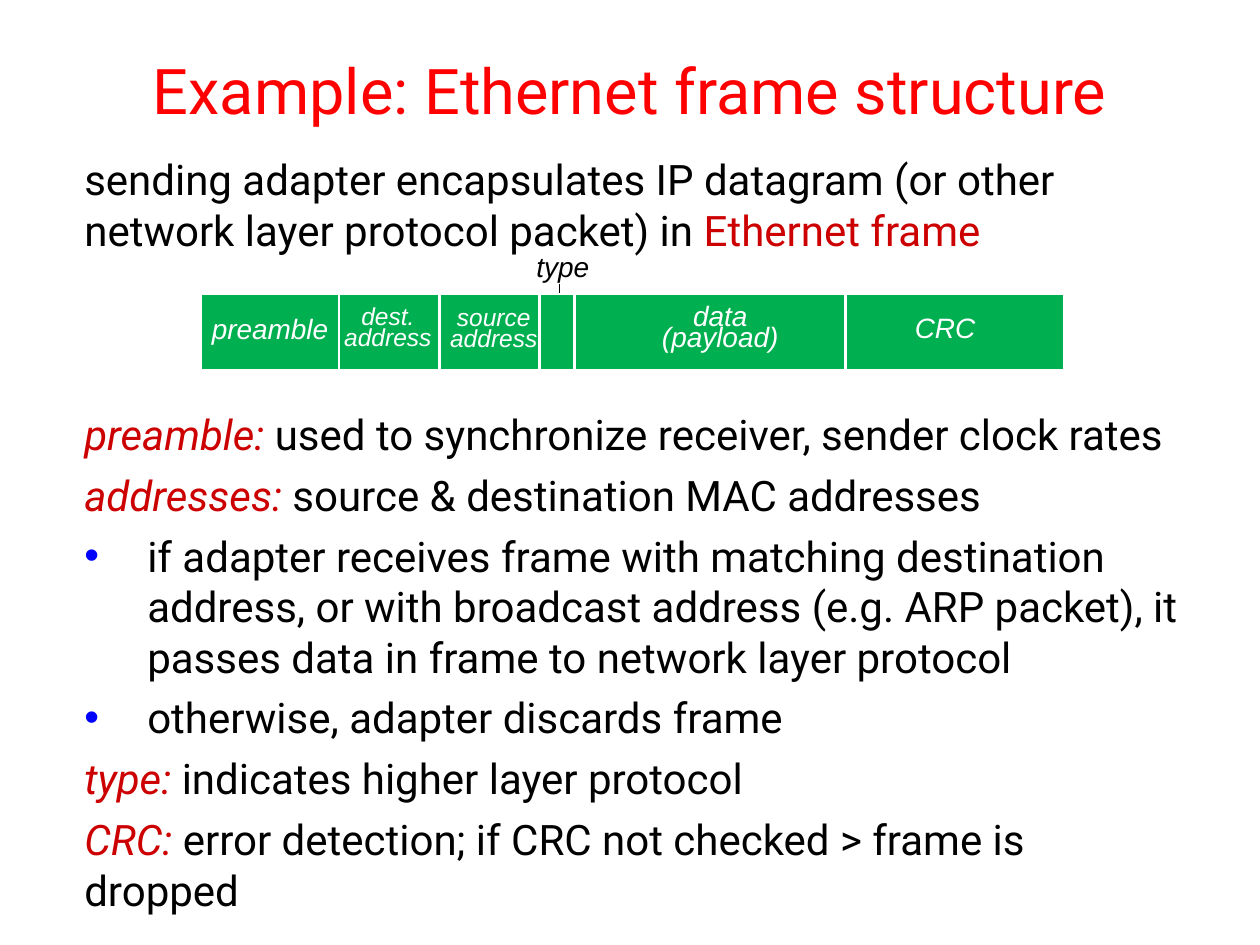
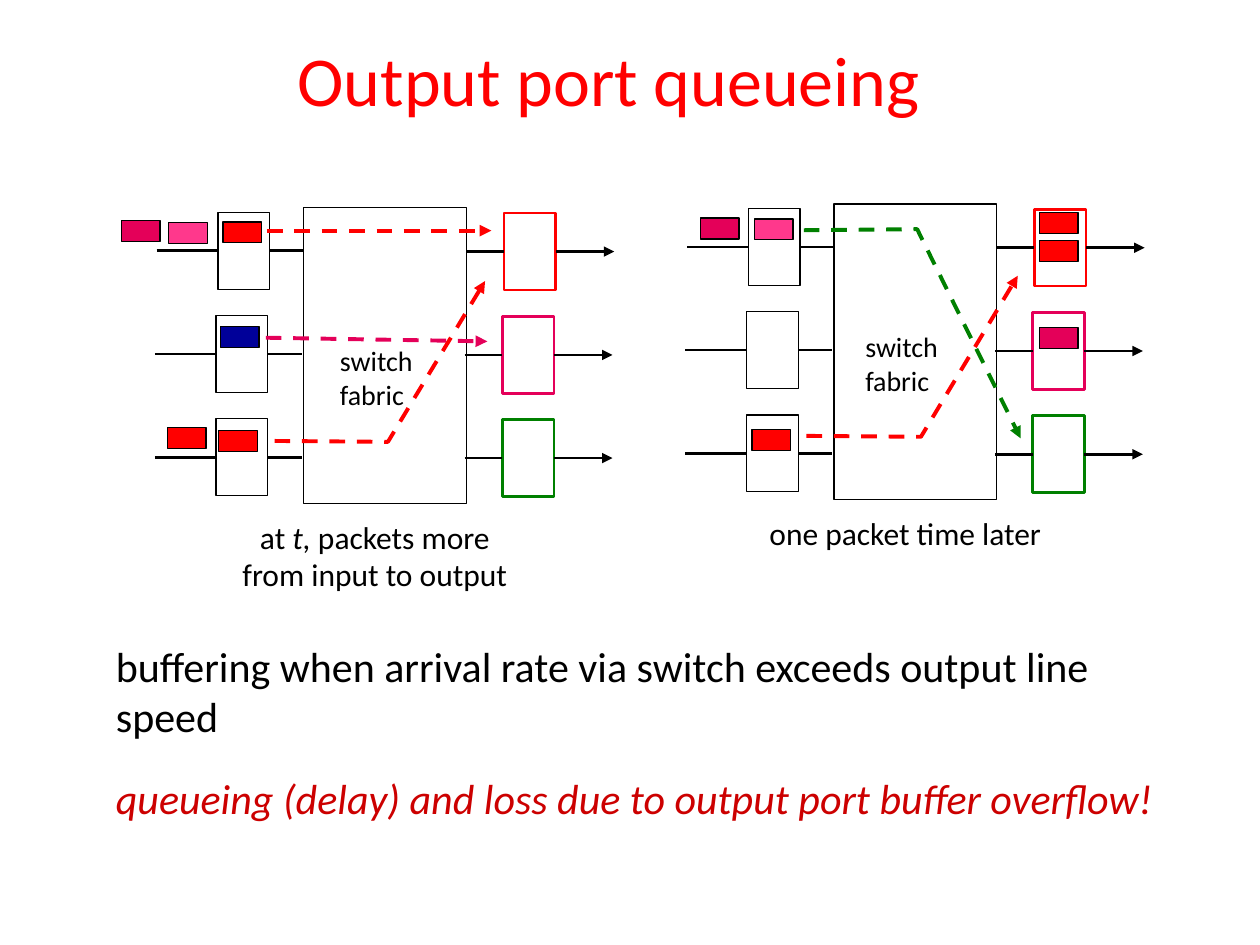
import pptx
import pptx.util
import pptx.dml.color
import pptx.enum.dml
import pptx.enum.shapes
import pptx.enum.text
import pptx.oxml
import pptx.oxml.ns

Pt = pptx.util.Pt
ALIGN = pptx.enum.text.PP_ALIGN
ANCHOR = pptx.enum.text.MSO_ANCHOR
FIT = pptx.enum.text.MSO_AUTO_SIZE
KIND = pptx.enum.shapes.MSO_SHAPE
LINK = pptx.enum.shapes.MSO_CONNECTOR
DASH = pptx.enum.dml.MSO_LINE.DASH

BLACK, WHITE, RED, DARK = "000000", "FFFFFF", "FF0000", "CC0000"
GREEN, LIME, BLUE = "008000", "00B050", "0000FF"
ROSE, PINK, NAVY = "E40059", "FF388C", "000099"
TERM = {"color": DARK, "italic": True}
CELL = {"align": ALIGN.CENTER, "line": Pt(12)}


def hue(code):
    return pptx.dml.color.RGBColor.from_string(code)


def put(item, vals):
    for name, val in vals.items():
        setattr(item, name, val)


def node(home, tag, **vals):
    made = pptx.oxml.parse_xml(f"<a:{tag} {pptx.oxml.ns.nsdecls('a')}/>")
    for name, val in vals.items():
        made.set(name, val)
    home.append(made)


def write(frame, paras, font, size, color=BLACK, italic=False, align=ALIGN.LEFT, line=None):
    for num, (runs, gap) in enumerate(paras):
        para = frame.paragraphs[0] if num == 0 else frame.add_paragraph()
        put(para, {"alignment": align, "space_before": Pt(gap), "line_spacing": line})
        for text, look in runs:
            look = {"color": color, "italic": italic, **look}
            run = para.add_run()
            run.text = text
            put(run.font, {"name": font, "size": Pt(size), "italic": look["italic"]})
            run.font.color.rgb = hue(look["color"])


def place(shape, box):
    put(shape, dict(zip(("left", "top", "width", "height"), map(Pt, box))))


def title(slide, box, text, font, size):
    shape = slide.shapes.title
    place(shape, box)
    put(shape.text_frame, {"auto_size": FIT.NONE, "vertical_anchor": ANCHOR.MIDDLE})
    write(shape.text_frame, [([(text, {})], 0)], font, size, RED, align=ALIGN.CENTER)


def body(slide, box, paras, font, dots=()):
    shape = slide.placeholders[1]
    place(shape, box)
    frame = shape.text_frame
    put(frame, {"auto_size": FIT.NONE, "vertical_anchor": ANCHOR.TOP, "word_wrap": True})
    write(frame, paras, font, 24)
    for num, para in enumerate(frame.paragraphs):
        props = para._p.get_or_add_pPr()
        dot = num in dots
        side = Pt(36) if dot else 0
        props.set("marL", str(side))
        props.set("indent", str(-side))
        if dot:
            node(props, "buClr")
            node(props[-1], "srgbClr", val=BLUE)
            node(props, "buFont", typeface="Arial")
            node(props, "buChar", char="•")
        else:
            node(props, "buNone")


def label(slide, box, lines, font, size, wrap=True, **look):
    shape = slide.shapes.add_textbox(*map(Pt, box))
    shape.text_frame.word_wrap = wrap
    paras = [(line if isinstance(line, list) else [(line, {})], 0) for line in lines]
    write(shape.text_frame, paras, font, size, **look)


def rect(slide, box, fill, edge=BLACK, width=0.75):
    shape = slide.shapes.add_shape(KIND.RECTANGLE, *map(Pt, box))
    shape.shadow.inherit = False
    shape.fill.solid()
    shape.fill.fore_color.rgb = hue(fill)
    shape.line.color.rgb = hue(edge)
    shape.line.width = Pt(width)
    return shape


def stroke(shape, color, width, dash, head):
    shape.line.color.rgb = hue(color)
    put(shape.line, {"width": Pt(width), "dash_style": DASH if dash else None})
    if head:
        node(shape._element.spPr.find(pptx.oxml.ns.qn("a:ln")), "tailEnd", type="triangle")


def link(slide, ends, color=BLACK, width=1.5, dash=False, head=False, start=None, stop=None):
    (x1, y1), (x2, y2) = ends
    shape = slide.shapes.add_connector(LINK.STRAIGHT, *map(Pt, (x1, y1, x2, y2)))
    if start:
        shape.begin_connect(*start)
    if stop:
        shape.end_connect(*stop)
    stroke(shape, color, width, dash, head)
    node(shape._element.spPr, "effectLst")


def route(slide, pts, color):
    if len(pts) == 2:
        link(slide, pts, color, 2.25, dash=True, head=True)
        return
    spots = [(Pt(x), Pt(y)) for x, y in pts]
    form = slide.shapes.build_freeform(*spots[0])
    form.add_line_segments(spots[1:], close=False)
    shape = form.convert_to_shape()
    shape.shadow.inherit = False
    shape.fill.background()
    stroke(shape, color, 2.25, True, True)


def layout(slide, box):
    left, top, width, height = box
    link(slide, [(left + 204.5, top - 6), (left + 204.5, top)], width=0.75)
    rect(slide, box, LIME, WHITE)
    for x in (78.5, 136, 193, 213, 368):
        link(slide, [(left + x, top), (left + x, top + height)], WHITE)
    cells = [
        (["dest.", "address"], 73.5, 5, 66, 14),
        (["source", "address"], 134, 5.8, 66, 14),
        (["data (payload)"], 242, 6.5, 108.7, 16),
        (["CRC"], 391, 13, 67.7, 16),
        (["preamble"], -3, 13.7, 84.2, 16),
    ]
    for lines, x, y, wide, size in cells:
        spot = (left + x, top + y, wide, 32 if len(lines) > 1 else 21)
        label(slide, spot, lines, "Arial", size, color=WHITE, italic=True, **CELL)
    label(slide, (left + 184.3, top - 28.8, 60.5, 26.6), ["type"], "Arial", 16, italic=True)


def switch(slide, box, packs, routes, name, note):
    left, top, width, height = box

    def at(x, y):
        return left + x, top + y

    rect(slide, box, WHITE)
    for num, color in enumerate((RED, ROSE, GREEN)):
        x = -1 if num else 0
        y = 2.5 + 59 * num
        mid = y + 22
        port = rect(slide, (*at(x - 49, y), 29.5, 44), WHITE)
        out = rect(slide, (*at(x + 114.5, y + 0.5), 29.5, 44), WHITE, color, 1.5)
        link(slide, [at(x - 84, mid), at(x - 49, mid)], stop=(port, 1))
        link(slide, [at(x - 19.5, mid), at(x, mid)], start=(port, 3))
        link(slide, [at(x + width, mid + 0.5), at(x + 114.5, mid + 0.5)], stop=(out, 1))
        link(slide, [at(x + 144, mid + 0.5), at(x + 177.5, mid + 0.5)], head=True, start=(out, 3))
    for x, y, color in packs:
        rect(slide, (*at(x, y), 22, 12), color)
    for color, pts in routes:
        route(slide, [at(*spot) for spot in pts], color)
    label(slide, (*at(*name), 56, 46), ["switch", "fabric"], "Calibri", 16, wrap=False)
    label(slide, (*at(-56, 173.5), 193.5, 29 * len(note)), note, "Calibri", 18, align=ALIGN.CENTER)


def frames(slide):
    title(slide, (54, 27, 612, 48), "Example: Ethernet frame structure", "Roboto", 36)
    paras = [
        ([("sending adapter encapsulates IP datagram (or other network layer protocol packet) in ", {}),
          ("Ethernet frame", {"color": DARK})], 0),
        ([("preamble: ", TERM), ("used to synchronize receiver, sender clock rates", {})], 88),
        ([("addresses: ", TERM), ("source & destination MAC addresses", {})], 6),
        ([("if adapter receives frame with matching destination address, or with broadcast "
           "address (e.g. ARP packet), it passes data in frame to network layer protocol", {})], 6),
        ([("otherwise, adapter discards frame", {})], 6),
        ([("type: ", TERM), ("indicates higher layer protocol", {})], 6),
        ([("CRC: ", TERM), ("error detection; if CRC not checked > frame is dropped", {})], 6),
    ]
    body(slide, (41, 84.2, 643, 342), paras, "Roboto", dots=(3, 4))
    layout(slide, (115.2, 168, 492.5, 43))


def queues(slide):
    title(slide, (41.8, 16, 612, 57.6), "Output port queueing", "Calibri", 40)
    paras = [
        ([("buffering when arrival rate via switch exceeds output line speed", {})], 0),
        ([("queueing (delay) and loss due to output port buffer overflow!", TERM)], 18),
    ]
    body(slide, (59, 362.2, 612, 93.6), paras, "Calibri")
    switch(
        slide, (173.5, 118.8, 93, 169),
        [(-46, 8, RED), (-47.5, 67.7, NAVY), (-48.5, 127.4, RED),
         (-77, 8.5, PINK), (-77.8, 125.5, RED), (-104, 7.2, ROSE)],
        [(RED, [(-21, 13), (107.3, 13)]),
         (ROSE, [(-21.6, 74.2), (105, 76.3)]),
         (RED, [(-16.6, 133.2), (48.2, 133.7), (103.7, 41.8)])],
        (13.7, 74.2),
        [[("at ", {}), ("t,", {"italic": True}), (" packets more", {})], "from input to output"],
    )
    switch(
        slide, (476.6, 116.6, 93, 169),
        [(117.4, 5, RED), (117.4, 70.6, ROSE), (117.4, 21, RED),
         (-45.4, 8.5, PINK), (-46.8, 129, RED), (-76.3, 8, ROSE)],
        [(RED, [(-15.8, 132.5), (49.7, 133), (105, 41)]),
         (GREEN, [(-17.3, 15), (47.5, 14.4), (106.6, 133.9)])],
        (10.8, 68.4),
        ["one packet time later"],
    )


def main():
    deck = pptx.Presentation()
    put(deck, {"slide_width": Pt(720), "slide_height": Pt(540)})
    for draw in (frames, queues):
        draw(deck.slides.add_slide(deck.slide_layouts[1]))
    deck.save("out.pptx")


if __name__ == "__main__":
    main()
